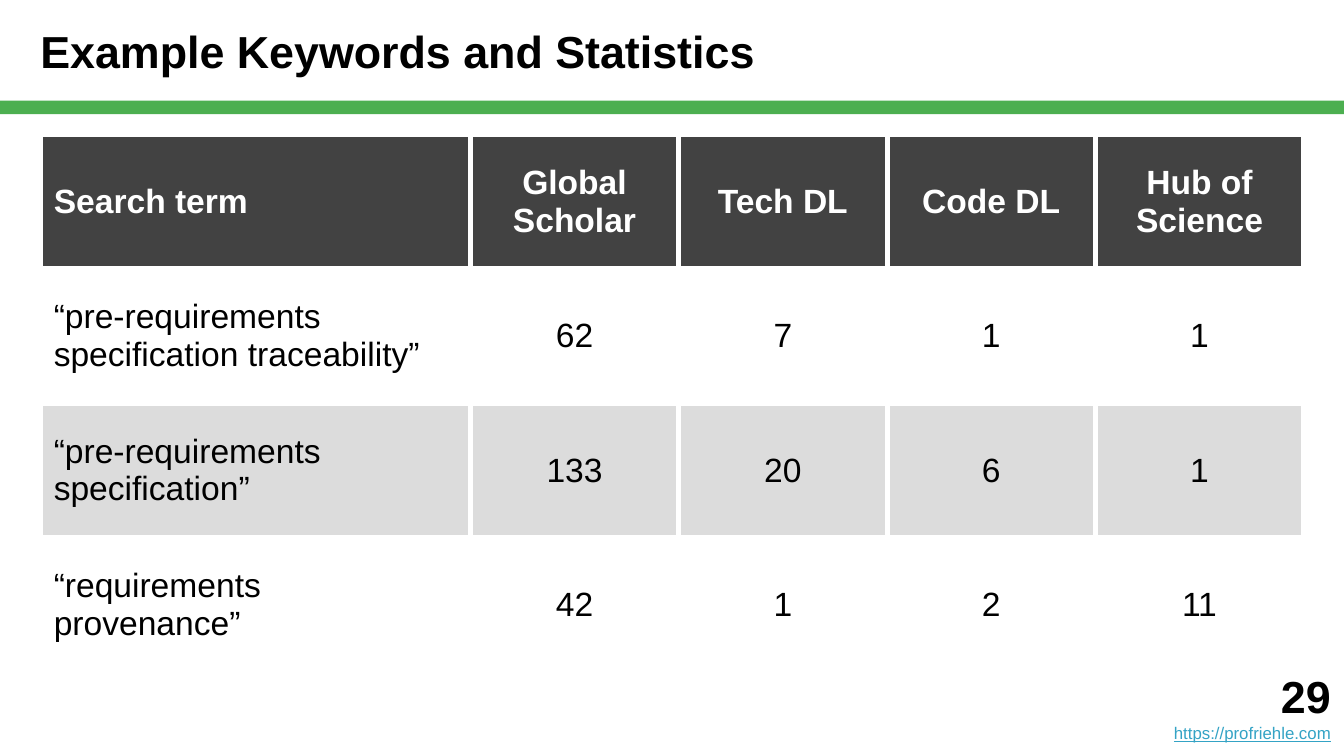
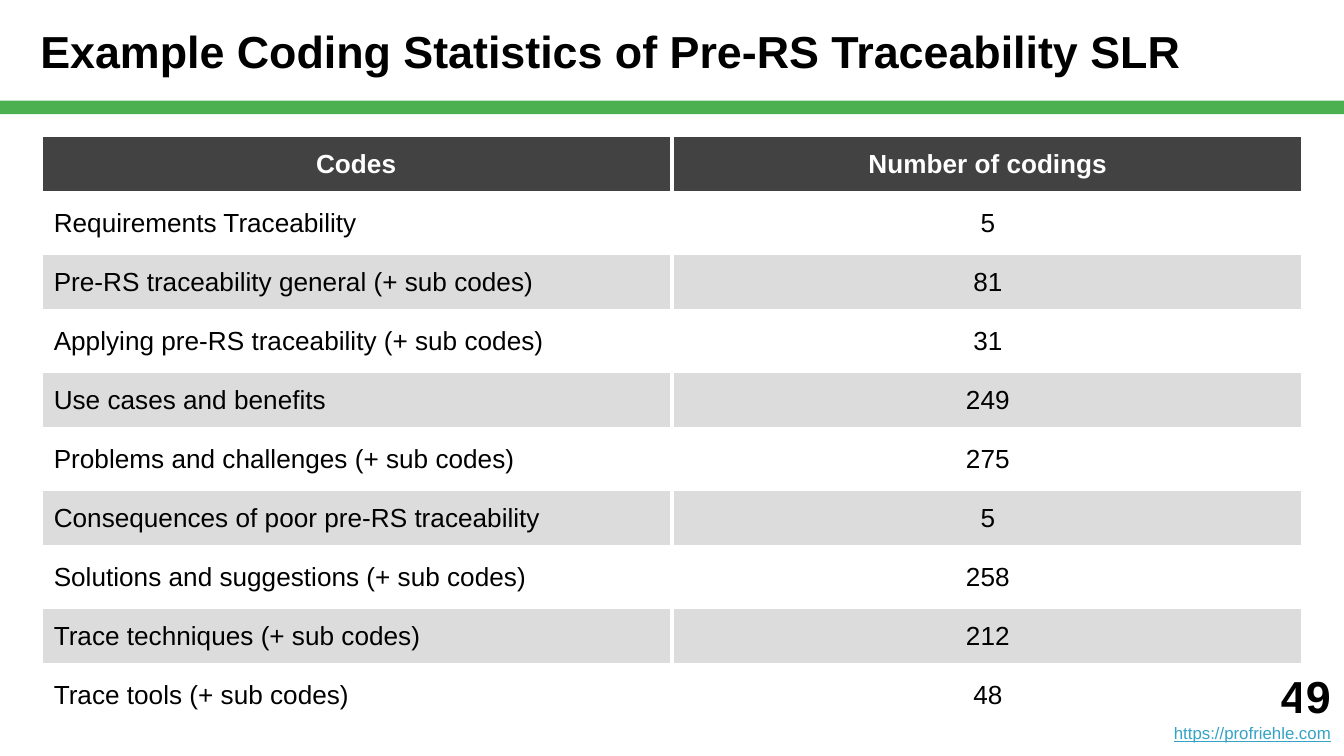
from dataclasses import dataclass

from lxml.etree import SubElement
from pptx import Presentation
from pptx.dml.color import RGBColor
from pptx.enum.shapes import MSO_SHAPE
from pptx.enum.text import MSO_ANCHOR, PP_ALIGN
from pptx.oxml.ns import qn
from pptx.util import Pt

COLORS = {
    "band": "4CAF50",
    "header": "424242",
    "stripe": "DCDCDC",
    "white": "FFFFFF",
    "black": "000000",
    "link": "34A3C5",
}
FONT = "Arial"
SLIDE_WIDTH, SLIDE_HEIGHT = 720, 405
TITLE_HEIGHT = 54
BAND_HEIGHT = 7.2
MARGIN = 21.6
INSET = 7.2
TABLE_TOP = 72
BORDER_WIDTH = 3
SITE = "https://profriehle.com"


@dataclass(frozen=True)
class StatisticsSlide:
    title: str
    number: int
    column_widths: tuple[float, ...]
    row_height: float
    text_size: float
    header_alignments: tuple[PP_ALIGN, ...]
    rows: tuple[tuple[str, ...], ...]


STATISTICS_SLIDES = (
    StatisticsSlide(
        title="Example Keywords and Statistics",
        number=29,
        column_widths=(230.4,) + (111.6,) * 4,
        row_height=72,
        text_size=18,
        header_alignments=(PP_ALIGN.LEFT,) + (PP_ALIGN.CENTER,) * 4,
        rows=(
            ("Search term", "Global Scholar", "Tech DL", "Code DL", "Hub of Science"),
            ("“pre-requirements specification traceability”", "62", "7", "1", "1"),
            ("“pre-requirements specification”", "133", "20", "6", "1"),
            ("“requirements provenance”", "42", "1", "2", "11"),
        ),
    ),
    StatisticsSlide(
        title="Example Coding Statistics of Pre-RS Traceability SLR",
        number=49,
        column_widths=(338.4, 338.4),
        row_height=31.65,
        text_size=14,
        header_alignments=(PP_ALIGN.CENTER, PP_ALIGN.CENTER),
        rows=(
            ("Codes", "Number of codings"),
            ("Requirements Traceability", "5"),
            ("Pre-RS traceability general (+ sub codes)", "81"),
            ("Applying pre-RS traceability (+ sub codes)", "31"),
            ("Use cases and benefits", "249"),
            ("Problems and challenges (+ sub codes)", "275"),
            ("Consequences of poor pre-RS traceability", "5"),
            ("Solutions and suggestions (+ sub codes)", "258"),
            ("Trace techniques (+ sub codes)", "212"),
            ("Trace tools (+ sub codes)", "48"),
        ),
    ),
)


def rgb(name: str) -> RGBColor:
    return RGBColor.from_string(COLORS[name])


def write(paragraph, text: str, size: float, color: str = "black", bold: bool = False,
          underline: bool = False, alignment: PP_ALIGN = PP_ALIGN.LEFT) -> None:
    paragraph.text = text
    paragraph.alignment = alignment
    font = paragraph.runs[0].font
    font.name, font.size = FONT, Pt(size)
    font.bold, font.underline = bold, underline
    font.color.rgb = rgb(color)


def set_insets(holder, left: float = INSET) -> None:
    holder.margin_left = Pt(left)
    holder.margin_top = holder.margin_right = holder.margin_bottom = Pt(INSET)


def add_text_frame(slide, left: float, top: float, width: float, height: float,
                   anchor: MSO_ANCHOR, left_inset: float = INSET):
    frame = slide.shapes.add_textbox(Pt(left), Pt(top), Pt(width), Pt(height)).text_frame
    frame.word_wrap = True
    frame.vertical_anchor = anchor
    set_insets(frame, left_inset)
    return frame


def add_band_and_title(slide, title: str) -> None:
    band = slide.shapes.add_shape(MSO_SHAPE.RECTANGLE, Pt(0), Pt(TITLE_HEIGHT),
                                  Pt(SLIDE_WIDTH), Pt(BAND_HEIGHT))
    band.shadow.inherit = False
    band.fill.solid()
    band.fill.fore_color.rgb = rgb("band")
    band.line.fill.background()
    heading = add_text_frame(slide, 0, 0, SLIDE_WIDTH, TITLE_HEIGHT,
                             MSO_ANCHOR.MIDDLE, MARGIN)
    write(heading.paragraphs[0], title, 24, bold=True)


def add_footer(slide, number: int) -> None:
    footer = add_text_frame(slide, 576, 347.75, 144, 57.6, MSO_ANCHOR.BOTTOM)
    write(footer.paragraphs[0], str(number), 24, bold=True, alignment=PP_ALIGN.RIGHT)
    write(footer.add_paragraph(), SITE, 9, "link", underline=True,
          alignment=PP_ALIGN.RIGHT)


def set_borders(cell) -> None:
    properties = cell._tc.get_or_add_tcPr()
    # Borders come before the fill in the cell properties
    for position, side in enumerate(("a:lnL", "a:lnR", "a:lnT", "a:lnB")):
        border = SubElement(properties, qn(side), w=str(Pt(BORDER_WIDTH)))
        SubElement(SubElement(border, qn("a:solidFill")), qn("a:srgbClr"),
                   val=COLORS["white"])
        properties.insert(position, border)


def fill_cell(cell, color: str | None) -> None:
    if color:
        cell.fill.solid()
        cell.fill.fore_color.rgb = rgb(color)
    else:
        cell.fill.background()


def add_statistics(slide, content: StatisticsSlide) -> None:
    statistics = slide.shapes.add_table(
        len(content.rows), len(content.column_widths), Pt(MARGIN), Pt(TABLE_TOP),
        Pt(sum(content.column_widths)), Pt(content.row_height * len(content.rows)),
    ).table
    statistics.horz_banding = False
    for column, width in zip(statistics.columns, content.column_widths):
        column.width = Pt(width)
    body_alignments = (PP_ALIGN.LEFT,) + (PP_ALIGN.CENTER,) * (len(content.column_widths) - 1)
    for r, texts in enumerate(content.rows):
        statistics.rows[r].height = Pt(content.row_height)
        is_header = r == 0
        alignments = content.header_alignments if is_header else body_alignments
        # Every second row below the header is striped
        background = "header" if is_header else "stripe" if r % 2 == 0 else None
        for c, (text, alignment) in enumerate(zip(texts, alignments)):
            cell = statistics.cell(r, c)
            cell.vertical_anchor = MSO_ANCHOR.MIDDLE
            set_insets(cell)
            write(cell.text_frame.paragraphs[0], text, content.text_size,
                  "white" if is_header else "black", bold=is_header, alignment=alignment)
            fill_cell(cell, background)
            set_borders(cell)


def main() -> None:
    presentation = Presentation()
    presentation.slide_width, presentation.slide_height = Pt(SLIDE_WIDTH), Pt(SLIDE_HEIGHT)
    blank_layout = presentation.slide_layouts[6]
    for content in STATISTICS_SLIDES:
        slide = presentation.slides.add_slide(blank_layout)
        add_band_and_title(slide, content.title)
        add_footer(slide, content.number)
        add_statistics(slide, content)
    presentation.save("out.pptx")


if __name__ == "__main__":
    main()
